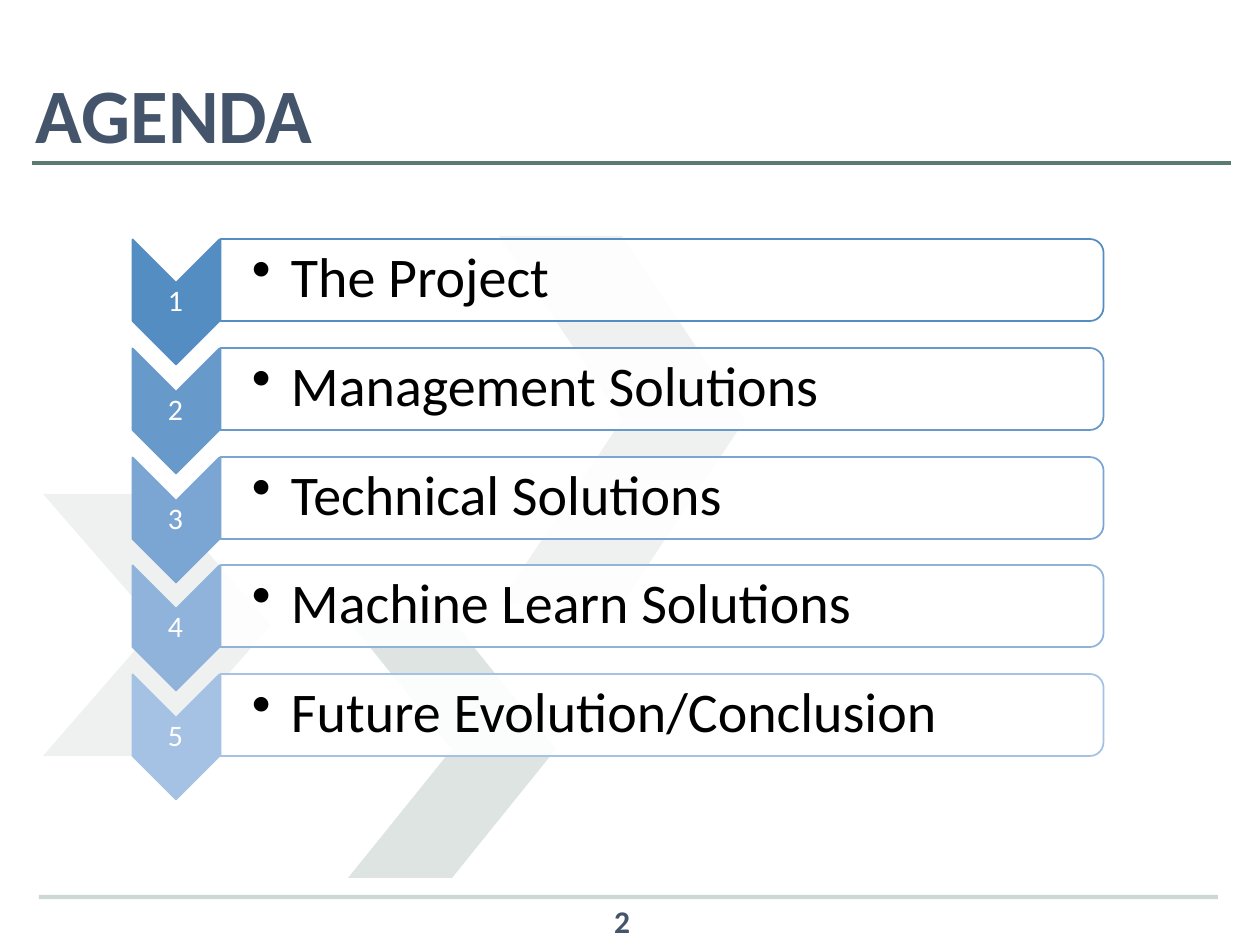
from lxml.etree import SubElement
from pptx import Presentation
from pptx.dml.color import RGBColor
from pptx.enum.shapes import MSO_CONNECTOR, MSO_SHAPE
from pptx.enum.text import MSO_ANCHOR, PP_ALIGN
from pptx.oxml.ns import qn
from pptx.util import Emu, Pt

# Content
TITLE = "AGENDA"
PAGE_NUMBER = "2"
AGENDA = [
    ("The Project", "538DC1"),
    ("Management Solutions", "6799CA"),
    ("Technical Solutions", "7BA6D3"),
    ("Machine Learn Solutions", "90B3DB"),
    ("Future Evolution/Conclusion", "A5C1E3"),
]

# Style and layout, in px
FONT = "Calibri"
GREEN, NAVY, WHITE, BLACK = "5A7C6E", "44546A", "FFFFFF", "000000"
BACKGROUND_CHEVRONS = [  # left, top, width, height, opacity
    (43, 494, 228, 262, 10),
    (348, 620, 208, 258, 20),
    (499, 236, 246, 368, 10),
]
RULES = [(32, 1231, 163, 100), (39, 1218, 897, 30)]  # left, right, y, opacity
FIRST_ROW, LAST_ROW = 302, 737  # centres of the number chevrons
CHEVRON_X, CHEVRON_LENGTH, CHEVRON_WIDTH = 176, 125, 87
BAR_X, BAR_LENGTH, BAR_HEIGHT = 662, 883, 82
BAR_RISE = 22  # bar centre above chevron centre


def px(length):
    return Emu(round(length * 914400 / 126))


def color(value):
    return RGBColor.from_string(value)


def set_opacity(fill_parent, percent):
    if percent < 100:
        rgb = fill_parent.find(qn("a:solidFill")).find(qn("a:srgbClr"))
        SubElement(rgb, qn("a:alpha"), val=str(percent * 1000))


def add_block(kind, left, top, width, height, fill, opacity=100, line=None):
    shape = slide.shapes.add_shape(kind, px(left), px(top), px(width), px(height))
    shape.shadow.inherit = False
    shape.fill.solid()
    shape.fill.fore_color.rgb = color(fill)
    set_opacity(shape._element.spPr, opacity)
    if line:
        shape.line.color.rgb = color(line)
        shape.line.width = Pt(1)
    else:
        shape.line.fill.background()
    return shape


def add_turned(kind, center_x, center_y, length, thickness, fill, opacity, line):
    shape = add_block(kind, center_x - length / 2, center_y - thickness / 2,
                      length, thickness, fill, opacity, line)
    shape.rotation = 90


def add_rule(left, right, y, opacity):
    rule = slide.shapes.add_connector(MSO_CONNECTOR.STRAIGHT, px(left), px(y), px(right), px(y))
    rule.line.color.rgb = color(GREEN)
    rule.line.width = Pt(2.5)
    properties = rule._element.spPr
    set_opacity(properties.find(qn("a:ln")), opacity)
    SubElement(properties, qn("a:effectLst"))


def add_text(text, left, top, width, height, size, ink, bold=False,
             align=PP_ALIGN.LEFT, margins=(13, 6, 13, 6), spacing=0.9):
    box = slide.shapes.add_textbox(px(left), px(top), px(width), px(height))
    frame = box.text_frame
    frame.word_wrap = True
    frame.vertical_anchor = MSO_ANCHOR.MIDDLE
    (frame.margin_left, frame.margin_top,
     frame.margin_right, frame.margin_bottom) = map(px, margins)
    paragraph = frame.paragraphs[0]
    paragraph.text = text
    paragraph.alignment = align
    paragraph.line_spacing = spacing
    font = paragraph.font
    font.name, font.size, font.bold = FONT, Pt(size), bold
    font.color.rgb = color(ink)
    return paragraph


def add_bullet(paragraph, indent):
    properties = paragraph._p.get_or_add_pPr()
    properties.set("marL", str(px(indent)))
    properties.set("indent", str(-px(indent)))
    bullet = SubElement(properties, qn("a:buChar"), char="•")
    properties.find(qn("a:defRPr")).addprevious(bullet)


presentation = Presentation()
presentation.slide_width, presentation.slide_height = px(1260), px(945)
slide = presentation.slides.add_slide(presentation.slide_layouts[6])

# Background, rules, page number and title
for *place, opacity in BACKGROUND_CHEVRONS:
    add_block(MSO_SHAPE.CHEVRON, *place, GREEN, opacity)
for rule in RULES:
    add_rule(*rule)
add_text(PAGE_NUMBER, 480, 896, 284, 50, 18, NAVY, True, PP_ALIGN.CENTER, spacing=1.0)
add_text(TITLE, 23, 60, 1086, 117, 44, NAVY, True)

# Agenda rows
pitch = (LAST_ROW - FIRST_ROW) / (len(AGENDA) - 1)
for index, (topic, tint) in enumerate(AGENDA):
    center = round(FIRST_ROW + index * pitch)
    bar_center = center - BAR_RISE
    add_turned(MSO_SHAPE.CHEVRON, CHEVRON_X, center,
               CHEVRON_LENGTH, CHEVRON_WIDTH, tint, 100, tint)
    add_text(str(index + 1), 132, center - 19, 87, 38, 17, WHITE,
             align=PP_ALIGN.CENTER, margins=(1, 1, 1, 1))
    add_turned(MSO_SHAPE.ROUND_2_SAME_RECTANGLE, BAR_X, bar_center,
               BAR_HEIGHT, BAR_LENGTH, WHITE, 90, tint)
    label = add_text(topic, 220, bar_center - 37, 880, 73, 32, BLACK, margins=(32, 3, 3, 3))
    add_bullet(label, 39)

presentation.save("out.pptx")
